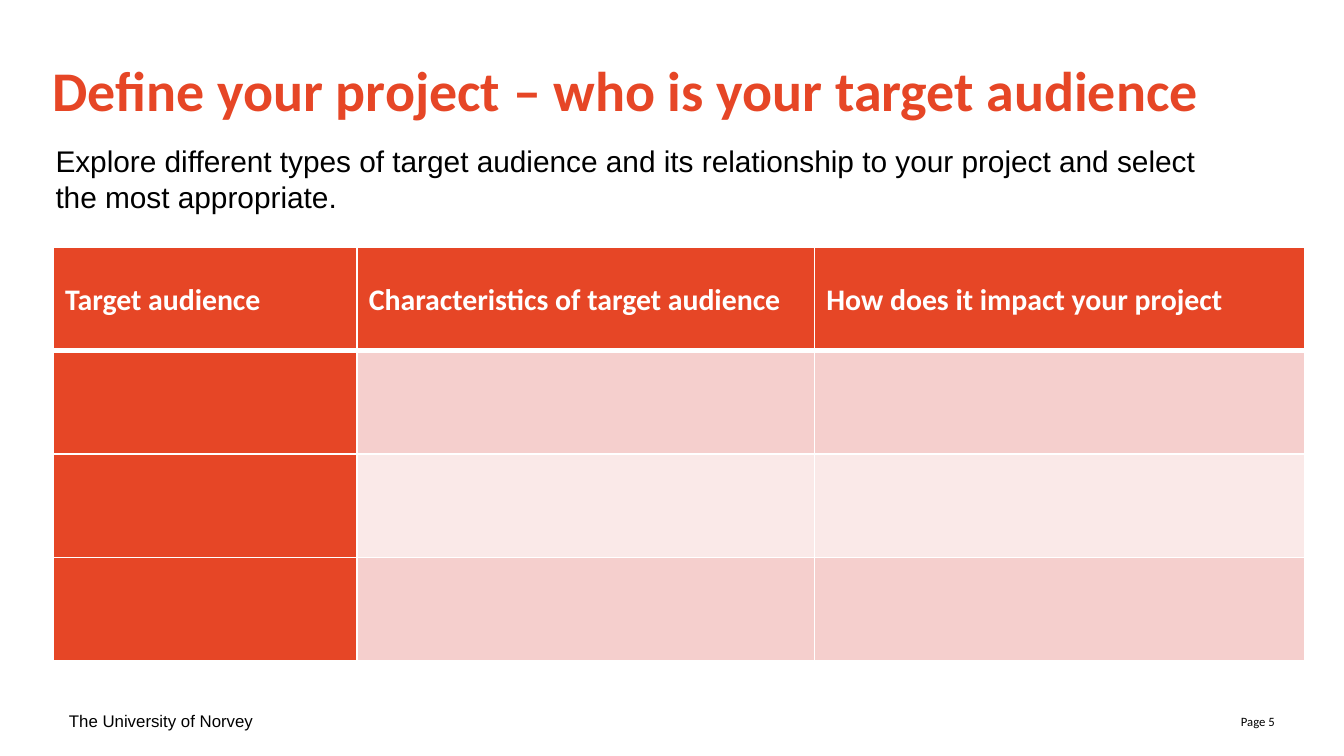
from lxml.etree import SubElement
from pptx import Presentation
from pptx.dml.color import RGBColor
from pptx.enum.text import MSO_ANCHOR as Anchor, PP_ALIGN as Align
from pptx.oxml.ns import qn
from pptx.util import Pt

PX = 4572  # 200 px to the inch
ORANGE = RGBColor(0xE6, 0x46, 0x26)
PINK = RGBColor(0xF5, 0xCF, 0xCD)
PALE_PINK = RGBColor(0xFA, 0xE9, 0xE8)
WHITE = RGBColor(0xFF, 0xFF, 0xFF)
BLACK = RGBColor(0x00, 0x00, 0x00)
HEADING_FONT = "Calibri"
BODY_FONT = "Arial"


class SlideBuilder:
    def __init__(self, presentation):
        self.slide = presentation.slides.add_slide(presentation.slide_layouts[5])

    def format_text(self, text_frame, font, size, color, bold=False, align=Align.LEFT):
        for paragraph in text_frame.paragraphs:
            paragraph.alignment = align
            for run in paragraph.runs:
                run.font.name = font
                run.font.size = Pt(size)
                run.font.bold = bold
                run.font.color.rgb = color

    def title(self, text, left, top, width, height):
        shape = self.slide.shapes.title
        shape.left, shape.top = left * PX, top * PX
        shape.width, shape.height = width * PX, height * PX
        frame = shape.text_frame
        frame.margin_left = frame.margin_right = 0
        frame.margin_top = frame.margin_bottom = 0
        frame.vertical_anchor = Anchor.TOP
        frame.text = text
        self.format_text(frame, HEADING_FONT, 30, ORANGE, bold=True)

    def text(self, text, left, top, width, height, font, size,
             align=Align.LEFT, anchor=Anchor.MIDDLE):
        box = self.slide.shapes.add_textbox(left * PX, top * PX, width * PX, height * PX)
        frame = box.text_frame
        frame.word_wrap = True
        frame.vertical_anchor = anchor
        frame.text = text
        self.format_text(frame, font, size, BLACK, align=align)

    def cell_borders(self, cell, bottom_width):
        properties = cell._tc.get_or_add_tcPr()
        widths = {"a:lnL": 1, "a:lnR": 1, "a:lnT": 1, "a:lnB": bottom_width}
        for position, (tag, width) in enumerate(widths.items()):
            line = SubElement(properties, qn(tag), w=str(Pt(width)))
            fill = SubElement(line, qn("a:solidFill"))
            SubElement(fill, qn("a:srgbClr"), val=str(WHITE))
            properties.insert(position, line)  # borders come before the fill

    def header_text(self, cell, text):
        frame = cell.text_frame
        frame.text = text
        frame.paragraphs[0].line_spacing = 1.07
        cell.vertical_anchor = Anchor.MIDDLE
        cell.margin_left = cell.margin_right = 18 * PX
        cell.margin_top = cell.margin_bottom = 0
        self.format_text(frame, HEADING_FONT, 16, WHITE, bold=True)

    def table(self, headers, row_fills, left, top, column_widths, row_height):
        row_count = len(row_fills) + 1
        table = self.slide.shapes.add_table(
            row_count, len(headers), left * PX, top * PX,
            sum(column_widths) * PX, row_count * row_height * PX).table
        for column, width in zip(table.columns, column_widths):
            column.width = width * PX
        for row in table.rows:
            row.height = row_height * PX

        for row_index, row_fill in enumerate([ORANGE] + row_fills):
            for column_index, header in enumerate(headers):
                cell = table.cell(row_index, column_index)
                cell.fill.solid()
                cell.fill.fore_color.rgb = row_fill if column_index else ORANGE
                self.cell_borders(cell, 1 if row_index else 3)
                if row_index == 0:
                    self.header_text(cell, header)


def main():
    presentation = Presentation()
    presentation.slide_width = 2000 * PX
    presentation.slide_height = 1125 * PX
    builder = SlideBuilder(presentation)

    # Footer
    builder.text("Page 5", 1451, 1043, 466, 60, HEADING_FONT, 6.8, align=Align.RIGHT)
    builder.text("The University of Norvey", 83, 1043, 466, 60, BODY_FONT, 9)

    # Title and introduction
    builder.title("Define your project – who is your target audience", 78, 82, 1844, 106)
    builder.text(
        "Explore different types of target audience and its relationship to your project and select\n"
        "the most appropriate.", 63, 203, 1772, 182, BODY_FONT, 16, anchor=Anchor.TOP)

    # Audience table
    builder.table(
        ["Target audience", "Characteristics of target audience",
         "How does it impact your project"],
        [PINK, PALE_PINK, PINK], 79, 368, [452, 681, 730], 154)

    presentation.save("out.pptx")


if __name__ == "__main__":
    main()
